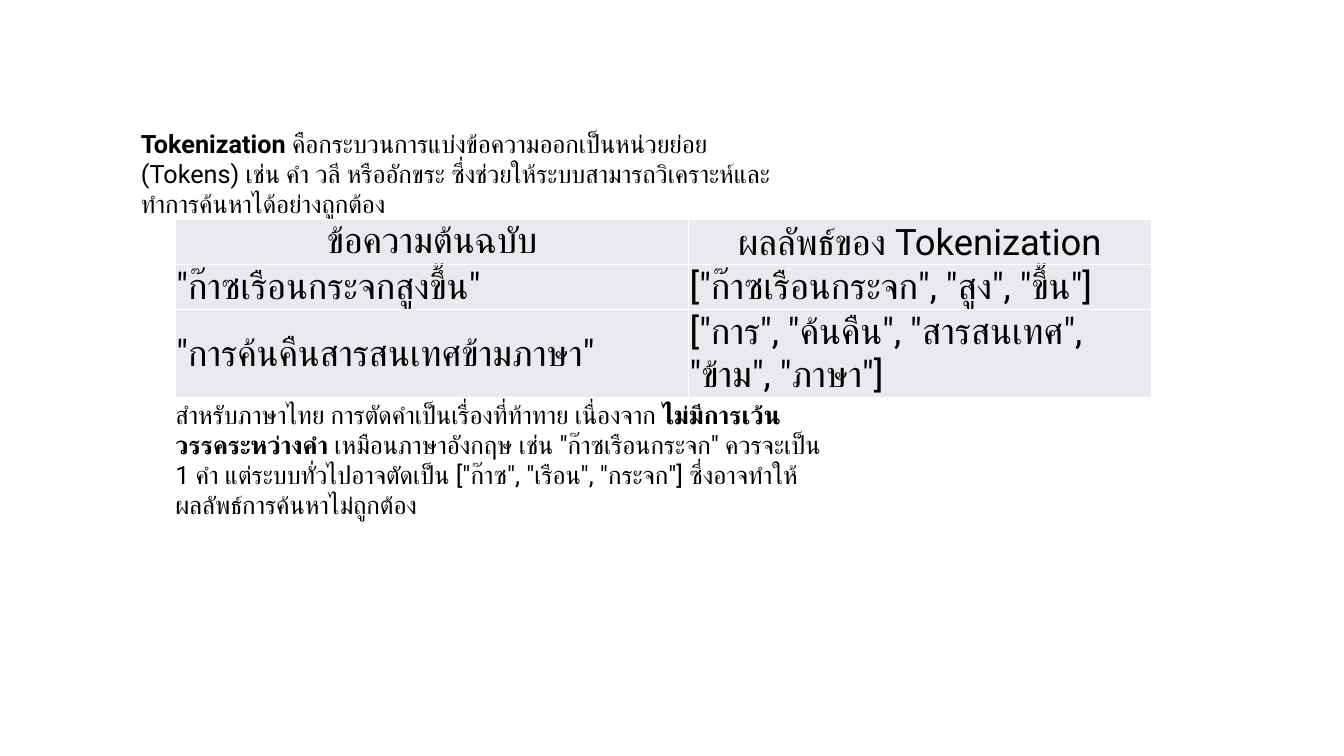
from lxml import etree
from pptx import Presentation
from pptx.dml.color import RGBColor
from pptx.enum.text import MSO_ANCHOR, MSO_AUTO_SIZE, PP_ALIGN
from pptx.oxml.ns import qn
from pptx.util import Inches, Pt

COLORS = {"text": "000000", "cell": "E8EAED", "border": "FFFFFF"}
FONT = "Roboto"
LEFT, CENTER = PP_ALIGN.LEFT, PP_ALIGN.CENTER
MIDDLE = MSO_ANCHOR.MIDDLE
GROW = MSO_AUTO_SIZE.SHAPE_TO_FIT_TEXT

INTRO = [
    ("Tokenization ", True),
    ("คือกระบวนการแบ่งข้อความออกเป็นหน่วยย่อย (Tokens) เช่น คำ วลี หรืออักขระ "
     "ซึ่งช่วยให้ระบบสามารถวิเคราะห์และทำการค้นหาได้อย่างถูกต้อง", False),
]
EXAMPLES = [
    ("ข้อความต้นฉบับ", "ผลลัพธ์ของ Tokenization"),
    ('"ก๊าซเรือนกระจกสูงขึ้น"', '["ก๊าซเรือนกระจก", "สูง", "ขึ้น"]'),
    ('"การค้นคืนสารสนเทศข้ามภาษา"',
     '["การ", "ค้นคืน", "สารสนเทศ", "ข้าม", "ภาษา"]'),
]
THAI_NOTE = [
    ("สำหรับภาษาไทย การตัดคำเป็นเรื่องที่ท้าทาย เนื่องจาก ", False),
    ("ไม่มีการเว้นวรรคระหว่างคำ", True),
    (' เหมือนภาษาอังกฤษ เช่น "ก๊าซเรือนกระจก" ควรจะเป็น 1 คำ '
     'แต่ระบบทั่วไปอาจตัดเป็น ["ก๊าซ", "เรือน", "กระจก"] '
     "ซึ่งอาจทำให้ผลลัพธ์การค้นหาไม่ถูกต้อง", False),
]


def add_run(p, text, size=18, bold=False, color="text"):
    r = p.add_run()
    r.text = text
    r.font.name = FONT
    r.font.size = Pt(size)
    r.font.bold = bold
    r.font.color.rgb = RGBColor.from_string(COLORS[color])


def add_paragraph_box(slide, runs, left, top, width, height):
    sp = slide.shapes.add_textbox(
        Inches(left), Inches(top), Inches(width), Inches(height))
    tf = sp.text_frame
    tf.word_wrap = True
    tf.auto_size = GROW
    for text, bold in runs:
        add_run(tf.paragraphs[0], text, bold=bold)


def set_borders(cell, color="border", width=1):
    tcPr = cell._tc.get_or_add_tcPr()
    for i, side in enumerate(("lnL", "lnR", "lnT", "lnB")):
        ln = etree.Element(qn(f"a:{side}"), w=str(Pt(width)))
        fill = etree.SubElement(ln, qn("a:solidFill"))
        etree.SubElement(fill, qn("a:srgbClr"), val=COLORS[color])
        tcPr.insert(i, ln)


def format_cell(cell, text, align):
    cell.fill.solid()
    cell.fill.fore_color.rgb = RGBColor.from_string(COLORS["cell"])
    cell.vertical_anchor = MIDDLE
    cell.margin_left = cell.margin_right = cell.margin_top = Inches(0.01)
    cell.margin_bottom = 0
    p = cell.text_frame.paragraphs[0]
    p.alignment = align
    add_run(p, text, size=26)
    set_borders(cell)


def add_examples_table(slide, rows, left, top, col_widths, row_height):
    table = slide.shapes.add_table(
        len(rows), len(col_widths), Inches(left), Inches(top),
        Inches(sum(col_widths)), Inches(row_height * len(rows))).table
    for col, width in zip(table.columns, col_widths):
        col.width = Inches(width)
    for i, texts in enumerate(rows):
        table.rows[i].height = Inches(row_height)
        for j, text in enumerate(texts):
            format_cell(table.cell(i, j), text, LEFT if i else CENTER)


def build_tokenization_slide(prs):
    slide = prs.slides.add_slide(prs.slide_layouts[6])
    add_paragraph_box(slide, INTRO, 1.3, 1.22, 6.67, 0.71)
    add_examples_table(slide, EXAMPLES, 1.74, 2.18, (5.09, 4.59), 0.43)
    add_paragraph_box(slide, THAI_NOTE, 1.64, 3.91, 6.67, 1.01)


def main():
    prs = Presentation()
    prs.slide_width = Inches(13.33)
    prs.slide_height = Inches(7.5)
    build_tokenization_slide(prs)
    prs.save("out.pptx")


if __name__ == "__main__":
    main()
